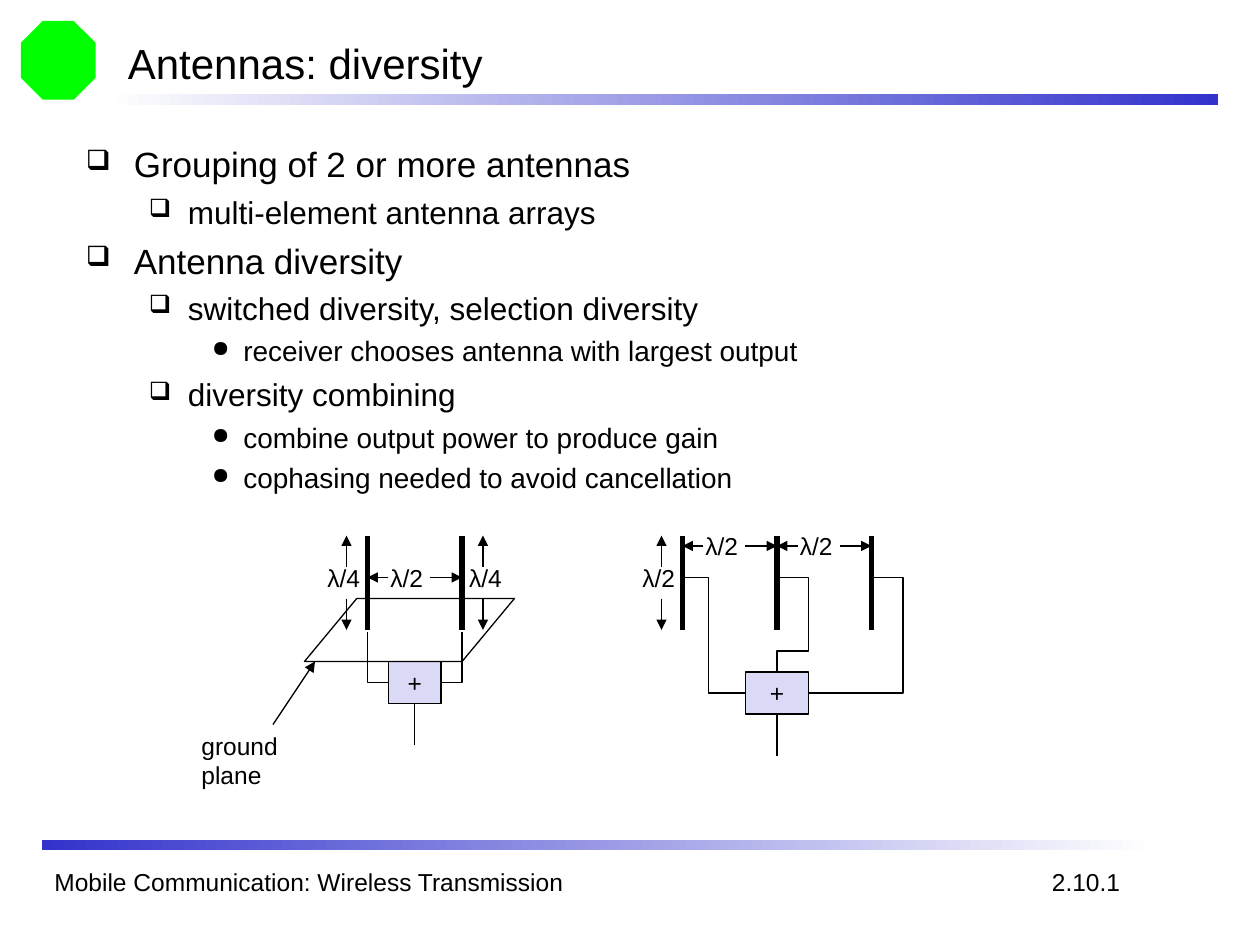
from dataclasses import dataclass

from lxml import etree
from pptx import Presentation
from pptx.dml.color import RGBColor
from pptx.enum.shapes import MSO_CONNECTOR, MSO_SHAPE
from pptx.enum.text import MSO_ANCHOR, PP_ALIGN
from pptx.oxml.ns import qn
from pptx.util import Emu, Inches, Pt

STRAIGHT = MSO_CONNECTOR.STRAIGHT
RECTANGLE = MSO_SHAPE.RECTANGLE
OCTAGON = MSO_SHAPE.OCTAGON
PARALLELOGRAM = MSO_SHAPE.PARALLELOGRAM
TOP, MIDDLE = MSO_ANCHOR.TOP, MSO_ANCHOR.MIDDLE
LEFT, CENTER = PP_ALIGN.LEFT, PP_ALIGN.CENTER

COLUMNS, ROWS = 120, 90
SPACING = 9


@dataclass(frozen=True)
class Theme:
    """Colours, font, type sizes and line widths of the deck."""
    font: str = "Arial"
    ink: str = "000000"
    paper: str = "FFFFFF"
    bar: str = "3333CC"
    combiner: str = "DADAF6"
    emblem: str = "00FF00"
    title: int = 24
    small: int = 14
    thin: float = 0.75
    thick: float = 3


@dataclass(frozen=True)
class Level:
    """Format of one outline level."""
    size: int
    margin: float
    hanging: float
    before: float
    bullet: str


@dataclass(frozen=True)
class Box:
    """Area of the page measured in grid cells."""
    left: float
    top: float
    width: float
    height: float

    def inner(self, column, row, width, height):
        """Return a box placed relative to this one."""
        return Box(self.left + column, self.top + row, width, height)

    def point(self, column, row):
        """Return page coordinates of a point in this box."""
        return cells(self.left + column), cells(self.top + row)

    def frame(self):
        """Return left, top, width and height as lengths."""
        return [cells(n) for n in (self.left, self.top, self.width, self.height)]


THEME = Theme()
LEVELS = (
    Level(20, 0.38, 0.38, 5, "❑"),
    Level(18, 0.81, 0.31, 4.5, "❑"),
    Level(16, 1.25, 0.25, 4, "●"),
)
OUTLINE = (
    (0, "Grouping of 2 or more antennas"),
    (1, "multi-element antenna arrays"),
    (0, "Antenna diversity"),
    (1, "switched diversity, selection diversity"),
    (2, "receiver chooses antenna with largest output"),
    (1, "diversity combining"),
    (2, "combine output power to produce gain"),
    (2, "cophasing needed to avoid cancellation"),
)


def cells(count):
    """Convert grid cells to a length."""
    return Emu(round(count * Inches(10) / COLUMNS))


def colour(value):
    """Convert a hex string to a colour."""
    return RGBColor.from_string(value)


def write(para, text, size=THEME.small, align=LEFT):
    """Put formatted text into a paragraph."""
    para.alignment = align
    span = para.add_run()
    span.text = text
    span.font.name = THEME.font
    span.font.size = Pt(size)
    span.font.color.rgb = colour(THEME.ink)


def add_text(page, box, text, wrap=True, anchor=TOP, **style):
    """Add a text box with one paragraph."""
    frame = page.shapes.add_textbox(*box.frame()).text_frame
    frame.word_wrap = wrap
    frame.vertical_anchor = anchor
    write(frame.paragraphs[0], text, **style)


def add_plain(page, kind, box, fill=None, outlined=False):
    """Add a preset shape without a shadow."""
    shape = page.shapes.add_shape(kind, *box.frame())
    shape.shadow.inherit = False
    if fill:
        shape.fill.solid()
        shape.fill.fore_color.rgb = colour(fill)
    else:
        shape.fill.background()
    if outlined:
        shape.line.color.rgb = colour(THEME.ink)
        shape.line.width = Pt(THEME.thin)
    else:
        shape.line.fill.background()
    return shape


def add_bar(page, box, first, last):
    """Add a bar that fades from one colour to another."""
    fill = add_plain(page, RECTANGLE, box).fill
    fill.gradient()
    fill.gradient_angle = 0
    for stop, value in zip(fill.gradient_stops, (first, last)):
        stop.color.rgb = colour(value)


def add_line(page, box, start, end, width=THEME.thin, arrow=False):
    """Join two points of a box with a line or an arrow."""
    line = page.shapes.add_connector(STRAIGHT, *box.point(*start), *box.point(*end))
    line.line.color.rgb = colour(THEME.ink)
    line.line.width = Pt(width)
    props = line._element.spPr
    if arrow:
        etree.SubElement(props.find(qn("a:ln")), qn("a:tailEnd"), type="triangle")
    etree.SubElement(props, qn("a:effectLst"))


def add_wire(page, box, *points):
    """Draw an open wire through points of a box."""
    start, *others = [box.point(*point) for point in points]
    builder = page.shapes.build_freeform(*start, scale=1.0)
    builder.add_line_segments(others, close=False)
    wire = builder.convert_to_shape()
    wire.shadow.inherit = False
    wire.fill.background()
    wire.line.color.rgb = colour(THEME.ink)
    wire.line.width = Pt(THEME.thin)


def add_antennas(page, box, columns):
    """Draw equal antennas at the given columns."""
    for column in columns:
        add_line(page, box, (column, 0), (column, 9), width=THEME.thick)


def add_height(page, box, column, label_column, text):
    """Mark the height of an antenna."""
    add_text(page, box.inner(label_column, 2, 6, 4), text)
    for start, end in ((3, 0), (6, 9)):
        add_line(page, box, (column, start), (column, end), arrow=True)


def add_spacing(page, box, column, row):
    """Mark the half wavelength between neighbouring antennas."""
    add_text(page, box.inner(column + 1, row - 2, 6, 4), "λ/2")
    for start, end in ((2, 0), (6, SPACING)):
        add_line(page, box, (column + start, row), (column + end, row), arrow=True)


def add_combiner(page, box):
    """Draw the combiner and its output wire."""
    shape = add_plain(page, RECTANGLE, box, fill=THEME.combiner, outlined=True)
    frame = shape.text_frame
    frame.word_wrap = False
    frame.vertical_anchor = MIDDLE
    write(frame.paragraphs[0], "+", align=CENTER)
    middle = box.width / 2
    add_line(page, box, (middle, box.height), (middle, box.height + 4))


def draw_header(page, box):
    """Place emblem, title and upper bar."""
    add_plain(page, OCTAGON, box.inner(0, 0, 7.1, 7.5), fill=THEME.emblem)
    add_bar(page, box.inner(8, 7, 106, 1), THEME.paper, THEME.bar)
    add_text(page, box.inner(9, 1, 102, 6), "Antennas: diversity",
             size=THEME.title, anchor=MIDDLE)


def draw_outline(page, box):
    """Place the bulleted outline."""
    frame = page.shapes.add_textbox(*box.frame()).text_frame
    frame.word_wrap = True
    for index, (depth, text) in enumerate(OUTLINE):
        level = LEVELS[depth]
        para = frame.add_paragraph() if index else frame.paragraphs[0]
        para.level = depth
        para.space_before = Pt(level.before)
        write(para, text, size=level.size)
        props = para._p.get_or_add_pPr()
        props.set("marL", str(Inches(level.margin)))
        props.set("indent", str(-Inches(level.hanging)))
        etree.SubElement(props, qn("a:buSzPct"), val="80000")
        etree.SubElement(props, qn("a:buChar"), char=level.bullet)


def draw_ground_array(page, box):
    """Draw two quarter-wave antennas over a ground plane."""
    first, last = 17, 17 + SPACING
    add_antennas(page, box, (first, last))
    add_combiner(page, box.inner(19, 12, 5, 4))
    plane = add_plain(page, PARALLELOGRAM, box.inner(11, 6, 20, 6), outlined=True)
    plane.adjustments[0] = 0.83
    add_wire(page, box, (first, 9.2), (first, 14), (19, 14))
    add_wire(page, box, (last, 9.2), (last, 14), (24, 14))
    add_height(page, box, 15, 12, "λ/4")
    add_height(page, box, 28, 25.5, "λ/4")
    add_spacing(page, box, first, 4)
    add_text(page, box.inner(0, 18, 16, 4), "ground plane", wrap=False)
    add_line(page, box, (8, 18), (12, 12), arrow=True)


def draw_dipole_array(page, box):
    """Draw three half-wave antennas joined by a combiner."""
    first, second, third = columns = [5 + SPACING * n for n in range(3)]
    add_antennas(page, box, columns)
    add_height(page, box, 3, 0, "λ/2")
    for column in (first, second):
        add_spacing(page, box, column, 1)
    add_combiner(page, box.inner(11, 13, 6, 4))
    add_wire(page, box, (first, 4), (7.5, 4), (7.5, 15), (11, 15))
    add_wire(page, box, (second, 4), (17, 4), (17, 11), (second, 11), (second, 13))
    add_wire(page, box, (third, 4), (26, 4), (26, 15), (17, 15))


def draw_footer(page, box):
    """Place lower bar, course name and page number."""
    add_bar(page, box.inner(0, 0, 106, 1), THEME.bar, THEME.paper)
    add_text(page, box.inner(0, 2, 59, 4), "Mobile Communication: Wireless Transmission")
    add_text(page, box.inner(95, 2, 9, 4), "2.10.1", wrap=False)


def main():
    """Build the deck."""
    deck = Presentation()
    deck.slide_width, deck.slide_height = cells(COLUMNS), cells(ROWS)
    page = deck.slides.add_slide(deck.slide_layouts[6])
    draw_header(page, Box(2, 2, 114, 8))
    draw_outline(page, Box(7, 13, 76, 68))
    draw_ground_array(page, Box(18, 51, 31, 22))
    draw_dipole_array(page, Box(60, 51, 26, 21))
    draw_footer(page, Box(4, 80, 106, 6))
    deck.save("out.pptx")


if __name__ == "__main__":
    main()
